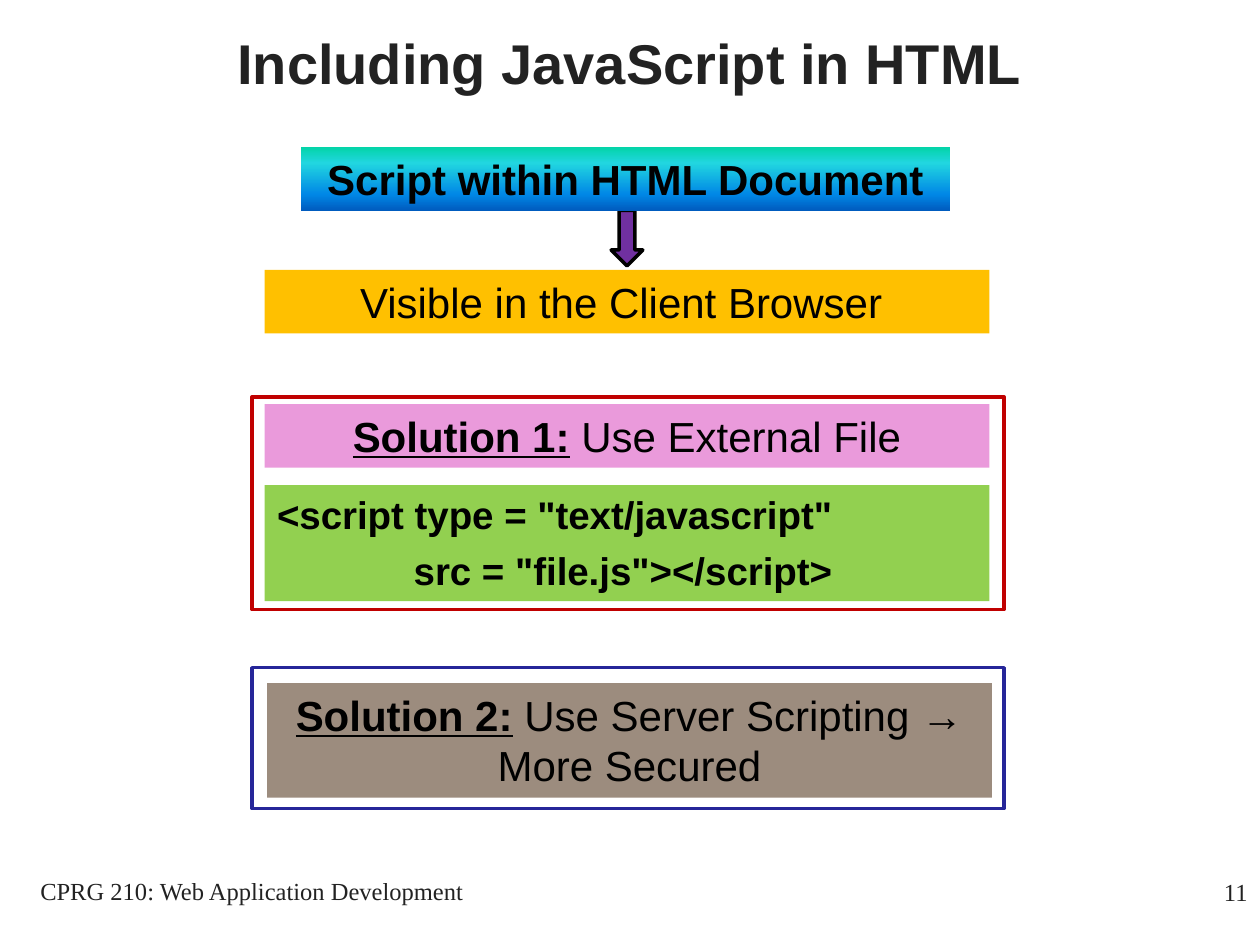
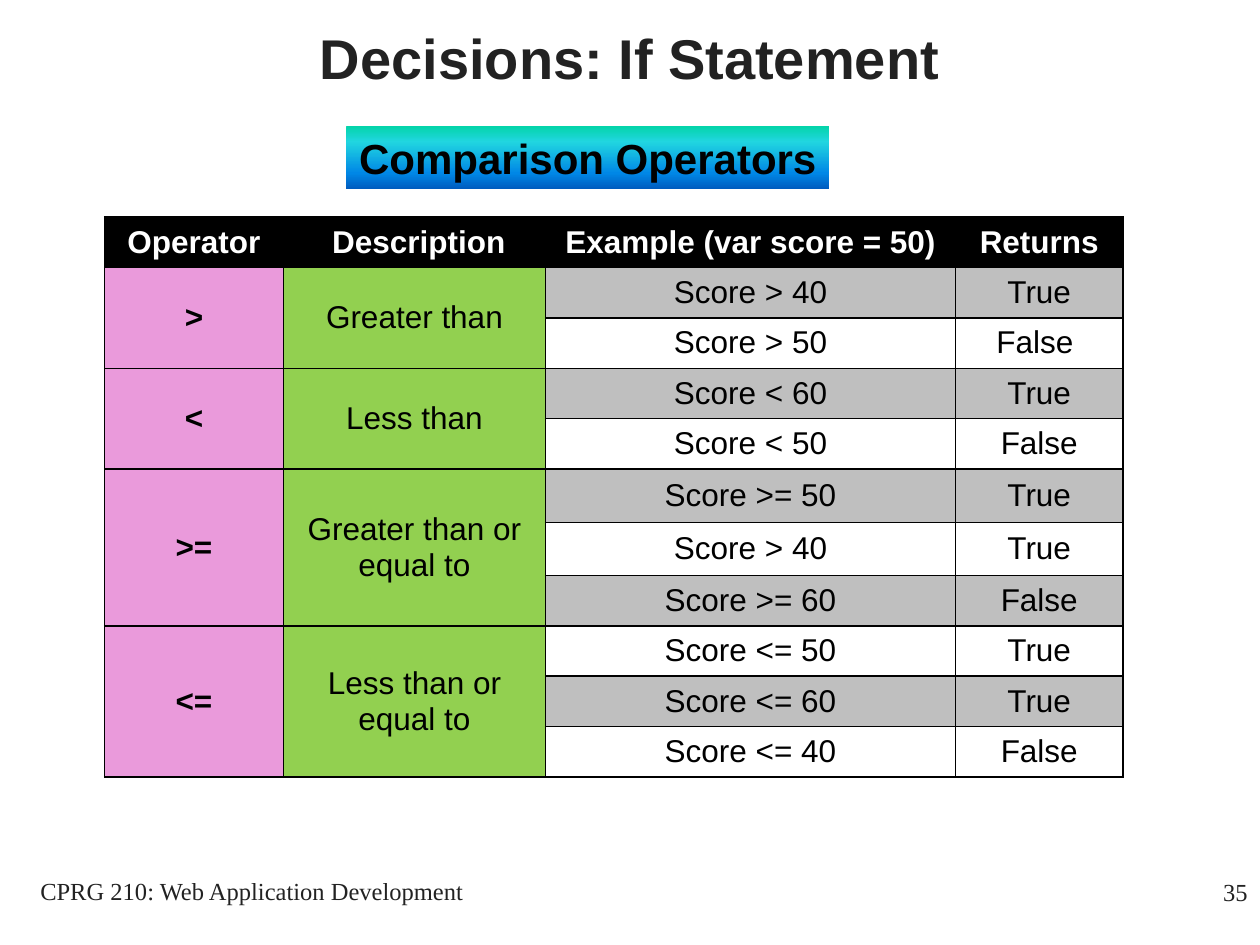
from dataclasses import dataclass

from lxml.etree import SubElement
from pptx import Presentation
from pptx.dml.color import RGBColor
from pptx.enum.shapes import MSO_SHAPE
from pptx.enum.text import MSO_ANCHOR, PP_ALIGN
from pptx.oxml.ns import qn
from pptx.util import Cm, Pt


@dataclass(frozen=True)
class Theme:
    ink: str = "222222"
    black: str = "000000"
    white: str = "FFFFFF"
    grey: str = "BFBFBF"
    amber: str = "FFC000"
    pink: str = "EA9ADB"
    green: str = "92D050"
    brown: str = "6E5642"
    purple: str = "7030A0"
    red: str = "C00000"
    navy: str = "262699"
    banner: tuple = ((0, "03D4A8"), (25, "21D6E0"), (75, "0087E6"), (100, "005CBF"))
    sans: str = "Arial"
    serif: str = "Times New Roman"
    title_size: int = 32
    box_size: int = 24
    code_size: int = 22
    table_size: int = 18
    footer_size: int = 14


THEME = Theme()
SLIDE_WIDTH, SLIDE_HEIGHT = 25.4, 19.05
COURSE = "CPRG 210: Web Application Development"

# Lengths are in centimetres; each box is placed by the centre of its width.
SCRIPT_SLIDE = {"title": "Including JavaScript in HTML", "title_height": 2.51, "number": "11"}
SCRIPT_BANNER = ("Script within HTML Document", 12.61, 2.97, 13.08)
AXIS, BOX_WIDTH = 12.64, 14.61
ARROW = (4.24, 0.64, 1.12)  # top, width, height
# heading, text, fill, opacity in %, centre, top, height
STATEMENTS = [
    ("", "Visible in the Client Browser ", THEME.amber, 100, AXIS, 5.44, 1.28),
    ("Solution 1:", " Use External File", THEME.pink, 100, AXIS, 8.15, 1.28),
    ("Solution 2:", " Use Server Scripting → More Secured", THEME.brown, 68, 12.69, 13.77, 2.31),
]
CODE = ['<script type = "text/javascript"', '\t src = "file.js"></script>']
CODE_TOP, CODE_HEIGHT, CODE_TAB, CODE_GAP = 9.78, 2.34, 2.54, 5.5
FRAME_CENTRE, FRAME_WIDTH = 12.66, 15.16
FRAMES = [(THEME.red, 8.0, 4.29), (THEME.navy, 13.46, 2.84)]  # line, top, height

IF_SLIDE = {"title": "Decisions: If Statement", "title_height": 2.31, "number": "35"}
OPERATOR_BANNER = ("Comparison Operators", 11.85, 2.54, 9.73)
HEADINGS = ["Operator", " Description", "Example (var score = 50)", "Returns"]
OPERATORS = [
    (">", "Greater than", [("Score > 40", "True"), ("Score > 50", "False ")]),
    ("<", "Less than", [("Score < 60", "True"), ("Score < 50", "False")]),
    (">=", "Greater than or equal to",
     [("Score >= 50", "True"), ("Score > 40", "True"), ("Score >= 60", "False")]),
    ("<=", "Less than or equal to",
     [("Score <= 50", "True"), ("Score <= 60", "True"), ("Score <= 40", "False")]),
]
TABLE_LEFT, TABLE_TOP = 2.11, 4.37
COLUMN_WIDTHS = [3.6, 5.29, 8.26, 3.38]
ROW_HEIGHT = 0.97
TALL_ROWS = {0: 1.02, 5: 1.07, 6: 1.07}


def rgb(colour):
    return RGBColor.from_string(colour)


def style(run, size, colour=THEME.black, bold=False, font=THEME.sans, underline=False):
    run.font.name, run.font.size = font, Pt(size)
    run.font.bold, run.font.underline = bold, underline
    run.font.color.rgb = rgb(colour)


def add_label(slide, text, left, top, width, height, align, anchor=MSO_ANCHOR.TOP, **look):
    frame = slide.shapes.add_textbox(Cm(left), Cm(top), Cm(width), Cm(height)).text_frame
    frame.word_wrap, frame.vertical_anchor = True, anchor
    frame.text = text
    frame.paragraphs[0].alignment = align
    style(frame.paragraphs[0].runs[0], **look)


def add_slide(deck, title, title_height, number):
    """Add a blank slide with the shared title and footer."""
    slide = deck.slides.add_slide(deck.slide_layouts[6])
    add_label(slide, title, 0, 0, SLIDE_WIDTH, title_height, PP_ALIGN.CENTER,
              MSO_ANCHOR.MIDDLE, size=THEME.title_size, colour=THEME.ink, bold=True)
    footer = {"size": THEME.footer_size, "colour": THEME.ink, "font": THEME.serif}
    add_label(slide, COURSE, 0, 17.53, 10.16, 1.27, PP_ALIGN.CENTER, **footer)
    add_label(slide, number, 20.12, 17.55, 5.28, 1.27, PP_ALIGN.RIGHT, **footer)
    return slide


def add_block(slide, centre, top, width, height, fill=None, line=None, kind=MSO_SHAPE.RECTANGLE):
    block = slide.shapes.add_shape(kind, Cm(centre - width / 2), Cm(top), Cm(width), Cm(height))
    block.shadow.inherit = False
    if fill:
        block.fill.solid()
        block.fill.fore_color.rgb = rgb(fill)
    else:
        block.fill.background()
    if line:
        block.line.color.rgb, block.line.width = rgb(line), Pt(2)
    else:
        block.line.fill.background()
    block.text_frame.vertical_anchor = MSO_ANCHOR.TOP
    return block


def set_opacity(block, percent):
    colour = block.element.spPr.find(qn("a:solidFill")).find(qn("a:srgbClr"))
    SubElement(colour, qn("a:alpha"), val=str(percent * 1000))


def add_banner(slide, text, centre, top, width):
    banner = add_block(slide, centre, top, width, 1.27)
    banner.fill.gradient()
    banner.fill.gradient_angle = 270
    stops = banner.element.spPr.find(qn("a:gradFill")).find(qn("a:gsLst"))
    stops.clear()
    for position, colour in THEME.banner:
        stop = SubElement(stops, qn("a:gs"), pos=str(position * 1000))
        SubElement(stop, qn("a:srgbClr"), val=colour)
    banner.text_frame.word_wrap = False
    banner.text_frame.text = text
    paragraph = banner.text_frame.paragraphs[0]
    paragraph.alignment = PP_ALIGN.CENTER
    style(paragraph.runs[0], THEME.box_size, bold=True)


def add_statement(slide, heading, text, fill, opacity, centre, top, height):
    block = add_block(slide, centre, top, BOX_WIDTH, height, fill)
    if opacity < 100:
        set_opacity(block, opacity)
    paragraph = block.text_frame.paragraphs[0]
    paragraph.alignment = PP_ALIGN.CENTER
    for part, strong in ((heading, True), (text, False)):
        if part:
            run = paragraph.add_run()
            run.text = part
            style(run, THEME.box_size, bold=strong, underline=strong)


def add_code(slide):
    frame = add_block(slide, AXIS, CODE_TOP, BOX_WIDTH, CODE_HEIGHT, THEME.green).text_frame
    frame.text = "\n".join(CODE)
    for index, paragraph in enumerate(frame.paragraphs):
        paragraph.alignment = PP_ALIGN.LEFT
        if index:
            paragraph.space_before = Pt(CODE_GAP)
        tabs = SubElement(paragraph._p.get_or_add_pPr(), qn("a:tabLst"))
        SubElement(tabs, qn("a:tab"), pos=str(Cm(CODE_TAB)), algn="l")
        for run in paragraph.runs:
            style(run, THEME.code_size, bold=True)


def add_borders(cell):
    properties = cell._tc.get_or_add_tcPr()
    for side in ("lnL", "lnR", "lnT", "lnB"):
        line = SubElement(properties, qn(f"a:{side}"), w=str(Pt(1)))
        SubElement(SubElement(line, qn("a:solidFill")), qn("a:srgbClr"), val=THEME.black)


def fill_cell(cell, text, fill, colour=THEME.black, bold=False):
    cell.fill.solid()
    cell.fill.fore_color.rgb = rgb(fill)
    cell.vertical_anchor = MSO_ANCHOR.MIDDLE
    cell.text_frame.text = text
    paragraph = cell.text_frame.paragraphs[0]
    paragraph.alignment = PP_ALIGN.CENTER
    style(paragraph.runs[0], THEME.table_size, colour, bold)


def add_operator_table(slide):
    row_count = 1 + sum(len(examples) for _, _, examples in OPERATORS)
    heights = [TALL_ROWS.get(row, ROW_HEIGHT) for row in range(row_count)]
    table = slide.shapes.add_table(
        row_count, len(HEADINGS), Cm(TABLE_LEFT), Cm(TABLE_TOP),
        Cm(sum(COLUMN_WIDTHS)), Cm(sum(heights))).table
    table.first_row = table.horz_banding = False
    for column, width in zip(table.columns, COLUMN_WIDTHS):
        column.width = Cm(width)
    for row, height in zip(table.rows, heights):
        row.height = Cm(height)
    for cell in table.iter_cells():
        add_borders(cell)

    for column, heading in enumerate(HEADINGS):
        fill_cell(table.cell(0, column), heading, THEME.black, THEME.white, bold=True)
    row = 1
    for operator, description, examples in OPERATORS:
        last = row + len(examples) - 1
        for column in (0, 1):
            table.cell(row, column).merge(table.cell(last, column))
        fill_cell(table.cell(row, 0), operator, THEME.pink, bold=True)
        fill_cell(table.cell(row, 1), description, THEME.green)
        for row, example in enumerate(examples, row):
            band = THEME.grey if row % 2 else THEME.white
            for column, text in enumerate(example, 2):
                fill_cell(table.cell(row, column), text, band)
        row += 1


def main():
    deck = Presentation()
    deck.slide_width, deck.slide_height = Cm(SLIDE_WIDTH), Cm(SLIDE_HEIGHT)

    slide = add_slide(deck, **SCRIPT_SLIDE)
    add_block(slide, AXIS, *ARROW, THEME.purple, THEME.black, MSO_SHAPE.DOWN_ARROW)
    add_banner(slide, *SCRIPT_BANNER)
    for statement in STATEMENTS:
        add_statement(slide, *statement)
    add_code(slide)
    for line, top, height in FRAMES:
        add_block(slide, FRAME_CENTRE, top, FRAME_WIDTH, height, line=line)

    slide = add_slide(deck, **IF_SLIDE)
    add_operator_table(slide)
    add_banner(slide, *OPERATOR_BANNER)

    deck.save("out.pptx")


if __name__ == "__main__":
    main()
